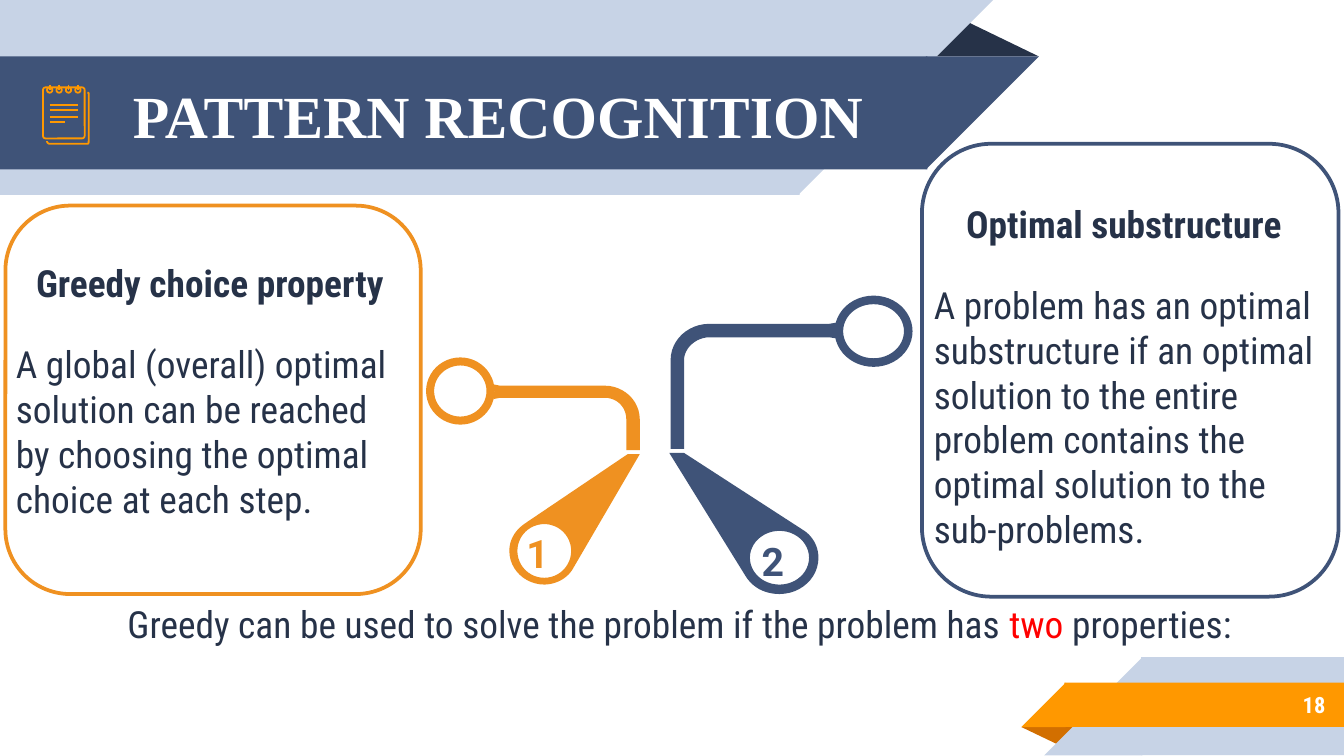
from dataclasses import dataclass
from math import cos, pi, sin

from lxml.etree import SubElement
from pptx import Presentation
from pptx.dml.color import RGBColor
from pptx.enum.shapes import MSO_CONNECTOR, MSO_SHAPE
from pptx.enum.text import MSO_ANCHOR, PP_ALIGN
from pptx.oxml.ns import qn
from pptx.util import Inches, Pt

COLORS = {
    "white": "FFFFFF", "ink": "263248", "navy": "3F5378", "pale": "C7D3E6",
    "orange": "FF9800", "rust": "D26F00", "amber": "EF9121", "red": "FF0000",
}
BODY_FONT = "Roboto Condensed"
ICON_LINE = 0.96
SLIDE_WIDTH = 10
SLIDE_HEIGHT = SLIDE_WIDTH * 9 / 16


@dataclass
class Part:
    """A filled preset shape of the slide frame."""
    kind: MSO_SHAPE
    box: tuple
    color: str
    rotation: int = 0


@dataclass
class Card:
    """A rounded panel with a heading and a body."""
    box: tuple
    color: str
    heading: str
    heading_box: tuple
    body: str
    body_box: tuple


@dataclass
class Pointer:
    """A numbered pin, the pipe leaving it and the ring at the pipe's end.

    Outline steps are (x, y) for a line or three points in a row for a curve.
    """
    color: str
    number: str
    number_box: tuple
    pin: list
    hole: tuple
    pipe: list
    ring: tuple


def rgb(name: str) -> RGBColor:
    return RGBColor.from_string(COLORS[name])


def style(shape, fill: str | None = None, line: str | None = None, width: float = 1) -> None:
    shape.shadow.inherit = False
    if fill:
        shape.fill.solid()
        shape.fill.fore_color.rgb = rgb(fill)
    else:
        shape.fill.background()
    if line:
        shape.line.color.rgb = rgb(line)
        shape.line.width = Pt(width)
    else:
        shape.line.fill.background()


def add_preset(slide, kind: MSO_SHAPE, box: tuple, **look):
    shape = slide.shapes.add_shape(kind, *map(Inches, box))
    style(shape, **look)
    return shape


def add_line(slide, start: tuple, end: tuple, color: str) -> None:
    line = slide.shapes.add_connector(MSO_CONNECTOR.STRAIGHT, *map(Inches, start + end))
    line.line.color.rgb = rgb(color)
    line.line.width = Pt(ICON_LINE)
    SubElement(line._element.spPr, qn("a:effectLst"))


def add_text(slide, box: tuple, runs: list, size: int, font: str = BODY_FONT, bold: bool = False,
             align=PP_ALIGN.LEFT, middle: bool = False) -> None:
    """Add one paragraph made of (text, color) runs."""
    frame = slide.shapes.add_textbox(*map(Inches, box)).text_frame
    frame.word_wrap = True
    if middle:
        frame.vertical_anchor = MSO_ANCHOR.MIDDLE
    paragraph = frame.paragraphs[0]
    paragraph.alignment = align
    paragraph.font.name, paragraph.font.size, paragraph.font.bold = font, Pt(size), bold
    for text, color in runs:
        run = paragraph.add_run()
        run.text = text
        run.font.color.rgb = rgb(color)


def flatten(steps: list, pieces: int = 12) -> list:
    """Turn lines and cubic curves into a list of points."""
    points = [steps[0]]
    for step in steps[1:]:
        if len(step) == 2:
            points.append(step)
            continue
        x0, y0 = points[-1]
        x1, y1, x2, y2, x3, y3 = step
        for i in range(1, pieces + 1):
            t = i / pieces
            a, b, c, d = (1 - t) ** 3, 3 * t * (1 - t) ** 2, 3 * t * t * (1 - t), t ** 3
            points.append((a * x0 + b * x1 + c * x2 + d * x3, a * y0 + b * y1 + c * y2 + d * y3))
    return points


def ellipse(center_x: float, center_y: float, radius_x: float, radius_y: float) -> list:
    angles = [-2 * pi * i / 48 for i in range(48)]
    return [(center_x + radius_x * cos(a), center_y + radius_y * sin(a)) for a in angles]


def add_outline(slide, contours: list, closed: bool = True, **look) -> None:
    scaled = [[(Inches(x), Inches(y)) for x, y in contour] for contour in contours]
    builder = slide.shapes.build_freeform(*scaled[0][0], scale=1.0)
    for index, contour in enumerate(scaled):
        if index:
            builder.move_to(*contour[0])
        builder.add_line_segments(contour[1:], close=closed)
    style(builder.convert_to_shape(), **look)


def draw_notepad(slide, color: str) -> None:
    look = {"line": color, "width": ICON_LINE}
    back_page = [(0.35, 1.05), (0.35, 1.06, 0.36, 1.07, 0.37, 1.07), (0.65, 1.07),
                 (0.66, 1.07, 0.66, 1.06, 0.66, 1.05), (0.66, 0.7),
                 (0.66, 0.69, 0.66, 0.69, 0.65, 0.69)]
    add_outline(slide, [flatten(back_page)], closed=False, **look)
    page = add_preset(slide, MSO_SHAPE.ROUNDED_RECTANGLE, (0.32, 0.65, 0.31, 0.38), **look)
    page.adjustments[0] = 0.06
    for i in range(4):
        x = 0.37 + 0.07 * i
        add_preset(slide, MSO_SHAPE.OVAL, (x - 0.02, 0.65, 0.04, 0.04), **look)
        add_line(slide, (x, 0.63), (x, 0.67), color)
    for y, right in ((0.78, 0.58), (0.82, 0.58), (0.87, 0.58), (0.91, 0.48)):
        add_line(slide, (0.37, y), (right, y), color)


def draw_pointer(slide, pointer: Pointer) -> None:
    add_outline(slide, [flatten(pointer.pin), ellipse(*pointer.hole)], fill=pointer.color)
    add_outline(slide, [flatten(pointer.pipe)], fill=pointer.color)
    ring = add_preset(slide, MSO_SHAPE.DONUT, pointer.ring, fill=pointer.color)
    ring.adjustments[0] = 0.12
    add_text(slide, pointer.number_box, [(pointer.number, pointer.color)], 21, "Roboto", True,
             PP_ALIGN.CENTER, middle=True)


def draw_card(slide, card: Card) -> None:
    add_preset(slide, MSO_SHAPE.ROUNDED_RECTANGLE, card.box, fill="white", line=card.color, width=2)
    add_text(slide, card.heading_box, [(card.heading, "ink")], 20, bold=True)
    add_text(slide, card.body_box, [(card.body, "ink")], 20)


RECTANGLE, CORNER, FOLD = MSO_SHAPE.RECTANGLE, MSO_SHAPE.RIGHT_TRIANGLE, MSO_SHAPE.ISOSCELES_TRIANGLE
# Rectangles reach 0.01 under their corners so that no seam shows
FRAME = [
    # Header ribbon
    Part(FOLD, (6.88, 0.14, 0.85, 0.28), "ink"),
    Part(RECTANGLE, (0, 0, 5.95, 1.45), "pale"),
    Part(CORNER, (5.94, 0, 1.45, 1.45), "pale", 90),
    Part(RECTANGLE, (0, 0.42, 6.9, 0.84), "navy"),
    Part(CORNER, (6.89, 0.42, 0.84, 0.84), "navy", 90),
    # Footer ribbon
    Part(FOLD, (7.6, 5.41, 0.43, 0.14), "rust", 180),
    Part(RECTANGLE, (8.49, 4.89, 1.51, 0.73), "pale"),
    Part(CORNER, (7.77, 4.89, 0.73, 0.73), "pale", 270),
    Part(RECTANGLE, (7.92, 5.08, 2.08, 0.33), "orange"),
    Part(CORNER, (7.6, 5.08, 0.33, 0.33), "orange", 270),
]
POINTERS = [
    Pointer("amber", "1", (3.71, 3.93, 0.58, 0.37),
            [(4.67, 3.38), (3.9, 3.9), (3.83, 3.95, 3.79, 4.02, 3.79, 4.1),
             (3.79, 4.24, 3.91, 4.35, 4.05, 4.35), (4.14, 4.35, 4.23, 4.3, 4.27, 4.22), (4.76, 3.38)],
            (4.05, 4.1, 0.2, 0.2),
            [(3.67, 2.86), (3.68, 2.9, 3.68, 2.93, 3.67, 2.97), (3.72, 2.96), (4.5, 2.96),
             (4.59, 2.96, 4.66, 3.03, 4.66, 3.12), (4.66, 3.35), (4.76, 3.35), (4.76, 3.12),
             (4.76, 2.98, 4.64, 2.87, 4.5, 2.87), (3.72, 2.87)],
            (3.17, 2.66, 0.51, 0.5)),
    Pointer("navy", "2", (5.42, 3.97, 0.66, 0.4),
            [(5.09, 3.37), (5.97, 3.94), (6.04, 3.98, 6.09, 4.06, 6.09, 4.15),
             (6.09, 4.3, 5.96, 4.42, 5.8, 4.42), (5.69, 4.42, 5.6, 4.37, 5.55, 4.29), (4.98, 3.37)],
            (5.8, 4.15, 0.22, 0.2),
            [(6.23, 2.4), (6.17, 2.41), (5.28, 2.41), (5.12, 2.41, 4.99, 2.53, 4.99, 2.68),
             (4.99, 3.34), (5.09, 3.34), (5.09, 2.68), (5.09, 2.59, 5.18, 2.51, 5.28, 2.51),
             (6.17, 2.51), (6.23, 2.52), (6.22, 2.48, 6.22, 2.44, 6.23, 2.4)],
            (6.21, 2.2, 0.58, 0.53)),
]
CARDS = [
    Card((0.04, 1.53, 3.09, 2.89), "amber", "Greedy choice property", (0.17, 1.89, 2.83, 0.44),
         "A global (overall) optimal solution can be reached by choosing the optimal choice at each step.",
         (0.02, 2.49, 3.07, 1.45)),
    Card((6.86, 1.07, 3.1, 3.37), "navy", "Optimal substructure", (7.09, 1.45, 2.64, 0.44),
         "A problem has an optimal substructure if an optimal solution to the entire problem "
         "contains the optimal solution to the sub-problems.",
         (6.85, 2.05, 3.1, 2.6)),
]


def main() -> None:
    presentation = Presentation()
    presentation.slide_width, presentation.slide_height = Inches(SLIDE_WIDTH), Inches(SLIDE_HEIGHT)
    slide = presentation.slides.add_slide(presentation.slide_layouts[6])

    # Ribbons, title and page number
    for part in FRAME:
        shape = add_preset(slide, part.kind, part.box, fill=part.color)
        shape.rotation = part.rotation
        if part.kind == FOLD:
            shape.adjustments[0] = 0.32
    add_text(slide, (0.89, 0.43, 5.75, 0.84), [("PATTERN RECOGNITION", "white")], 32,
             "Times New Roman", True, middle=True)
    add_text(slide, (8.33, 5.07, 1.63, 0.35), [("18", "white")], 12, bold=True,
             align=PP_ALIGN.RIGHT, middle=True)
    draw_notepad(slide, "orange")

    # Numbered pointers, summary sentence and cards
    for pointer in POINTERS:
        draw_pointer(slide, pointer)
    add_text(slide, (0.85, 4.42, 8.68, 0.91),
             [("Greedy can be used to solve the problem if the problem has ", "ink"),
              ("two", "red"), (" properties:", "ink")], 20)
    for card in CARDS:
        draw_card(slide, card)
    presentation.save("out.pptx")


if __name__ == "__main__":
    main()
